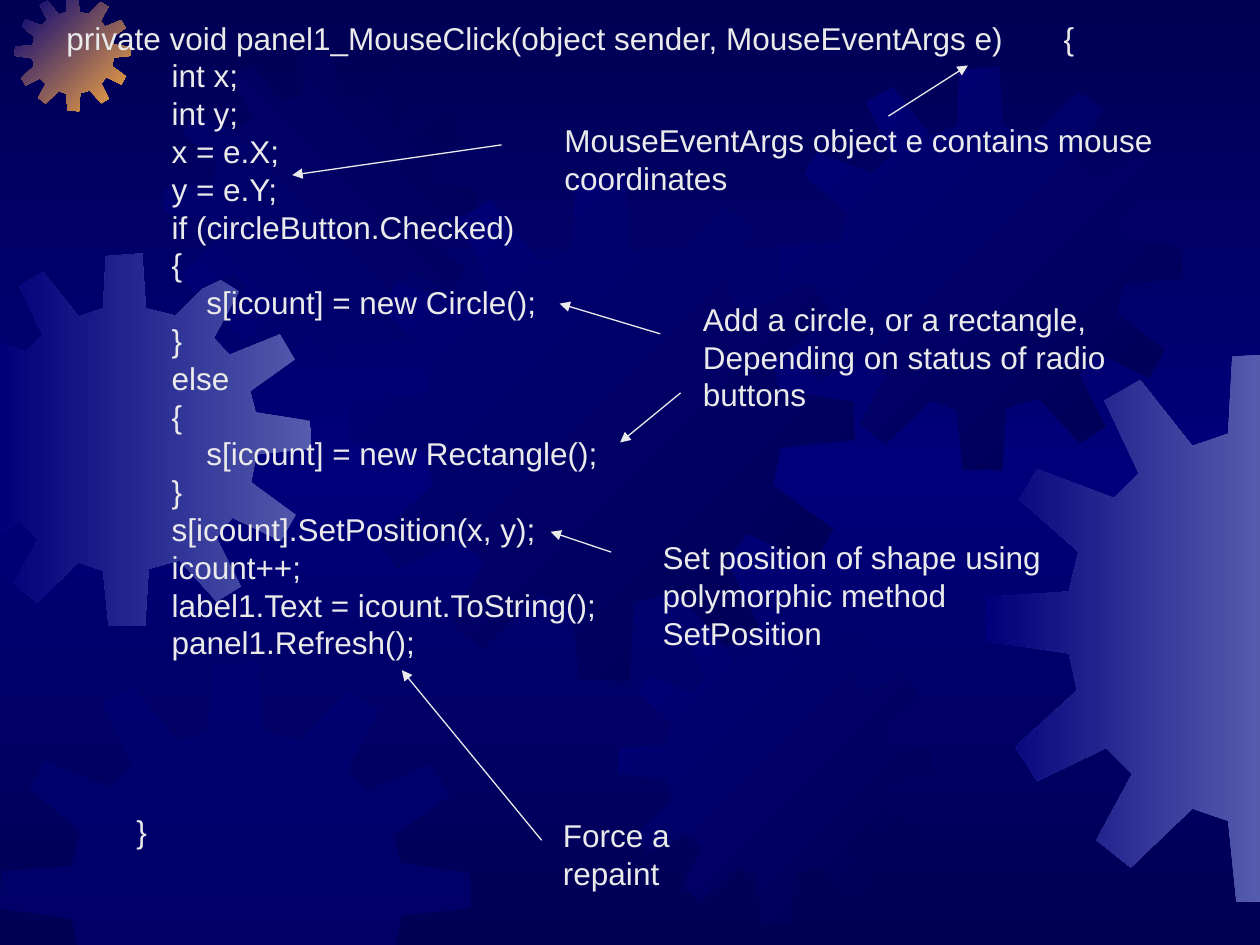
import copy

import pptx
import pptx.dml.color
import pptx.enum.shapes
import pptx.enum.text
import pptx.oxml
import pptx.oxml.ns
import pptx.util

Cm = pptx.util.Cm
Pt = pptx.util.Pt
RGBColor = pptx.dml.color.RGBColor
qn = pptx.oxml.ns.qn

TEXT = RGBColor(0xEA, 0xEA, 0xEA)
NAVY = RGBColor(0x00, 0x00, 0x54)
BLUE = RGBColor(0x00, 0x00, 0x7A)
LILAC = RGBColor(0x55, 0x5B, 0xAD)
ORANGE = RGBColor(0xFC, 0xAB, 0x40)

WIDTH, HEIGHT = 25.4, 19.05
LINE_PITCH = 21.6

GEAR_SIZE = 401
GEAR = [
    (255, 67), (223, 59), (219, 0), (180, 3), (177, 59), (151, 68), (113, 20), (87, 35),
    (112, 88), (94, 106), (38, 85), (25, 107), (68, 145), (61, 174), (1, 178), (0, 210),
    (61, 219), (67, 246), (22, 287), (38, 312), (88, 288), (107, 307), (81, 355), (106, 375),
    (151, 332), (177, 341), (183, 400), (222, 401), (226, 339), (259, 330), (299, 374), (325, 358),
    (299, 306), (316, 284), (368, 309), (384, 281), (336, 246), (342, 216), (401, 210), (400, 180),
    (341, 171), (335, 148), (383, 114), (367, 87), (313, 109), (296, 91), (323, 41), (297, 25),
]

GEARS = [
    (-1.24, 5.11, 7.52, LILAC, 180),
    (0.3, -0.1, 2.34, ORANGE, 225),
    (3.3, 0.99, 6.3, NAVY, 135),
    (7.04, 3.53, 10.19, NAVY, 225),
    (0, 13.34, 9.5, BLUE, None),
    (12.47, 12.29, 6.3, NAVY, 225),
    (15.7, 1.35, 8.13, NAVY, 225),
    (19.86, 7.11, 11.1, LILAC, 180),
]

OUTER, BODY, INNER = 1.41, 2.12, 2.82
CODE = [
    (0, "private void panel1_MouseClick(object sender, MouseEventArgs e)\t{"),
    (BODY, "int x;"),
    (BODY, "int y;"),
    (BODY, "x = e.X;"),
    (BODY, "y = e.Y;"),
    (BODY, "if (circleButton.Checked)"),
    (BODY, "{"),
    (INNER, "s[icount] = new Circle();"),
    (BODY, "}"),
    (BODY, "else"),
    (BODY, "{"),
    (INNER, "s[icount] = new Rectangle();"),
    (BODY, "}"),
    (BODY, "s[icount].SetPosition(x, y);"),
    (BODY, "icount++;"),
    (BODY, "label1.Text = icount.ToString();"),
    (BODY, "panel1.Refresh();"),
    (OUTER, "}"),
]

NOTES = [
    (11.13, 2.31, 12.52, 1.78, ["MouseEventArgs object e contains mouse", "coordinates"]),
    (13.92, 5.92, 10.85, 1.78,
     ["Add a circle, or a rectangle,", "Depending on status of radio buttons"]),
    (13.11, 10.72, 8.61, 2.54,
     ["Set position of shape using polymorphic method", "SetPosition"]),
    (11.1, 16.33, 4.39, 1.78, ["Force a repaint"]),
]

ARROWS = [
    (10.11, 2.92, 5.89, 3.53),
    (17.91, 2.34, 19.51, 1.32),
    (13.31, 6.73, 11.28, 6.12),
    (13.72, 7.92, 12.5, 8.92),
    (12.32, 11.13, 11.1, 10.72),
    (10.92, 16.94, 8.1, 13.51),
]


def fill_gradient(fill, element, colors, angle):
    fill.gradient()
    fill.gradient_angle = (360 - angle) % 360
    stop_list = element.find(".//" + qn("a:gsLst"))
    while len(stop_list) < len(colors):
        stop_list.append(copy.deepcopy(stop_list[-1]))
    for i, (stop, color) in enumerate(zip(fill.gradient_stops, colors)):
        stop.position = i / (len(colors) - 1)
        stop.color.rgb = color


def clip(points, axis, limit, sign):
    kept = []
    for a, b in zip(points, points[1:] + points[:1]):
        da, db = sign * (limit - a[axis]), sign * (limit - b[axis])
        if da >= 0:
            kept.append(a)
        if da * db < 0:
            t = da / (da - db)
            kept.append((a[0] + t * (b[0] - a[0]), a[1] + t * (b[1] - a[1])))
    return kept


def add_gear(s, left, top, size, color, angle):
    k = size / GEAR_SIZE
    points = [(left + x * k, top + y * k) for x, y in GEAR]
    for axis, limit, sign in ((0, 0, -1), (0, WIDTH, 1), (1, 0, -1), (1, HEIGHT, 1)):
        points = clip(points, axis, limit, sign)
    points = [(Cm(x), Cm(y)) for x, y in points]
    builder = s.shapes.build_freeform(*points[0])
    builder.add_line_segments(points[1:], close=True)
    sp = builder.convert_to_shape()
    sp.shadow.inherit = False
    sp.line.fill.background()
    if angle is None:
        sp.fill.solid()
        sp.fill.fore_color.rgb = color
        rgb = sp._element.spPr.find(".//" + qn("a:srgbClr"))
        rgb.append(pptx.oxml.parse_xml(
            '<a:alpha %s val="50000"/>' % pptx.oxml.ns.nsdecls("a")))
    else:
        fill_gradient(sp.fill, sp._element.spPr, [color, BLUE], angle)


def add_text(s, left, top, width, height, lines):
    sp = s.shapes.add_textbox(Cm(left), Cm(top), Cm(width), Cm(height))
    tf = sp.text_frame
    tf.word_wrap = True
    tf.vertical_anchor = pptx.enum.text.MSO_ANCHOR.TOP
    for i, (indent, text) in enumerate(lines):
        p = tf.paragraphs[0] if i == 0 else tf.add_paragraph()
        p.line_spacing = Pt(LINE_PITCH)
        if indent:
            p._p.get_or_add_pPr().set("marL", str(Cm(indent)))
        r = p.add_run()
        r.text = text
        r.font.name = "Arial"
        r.font.size = Pt(18)
        r.font.color.rgb = TEXT
    return tf


def add_code(s):
    tf = add_text(s, 1.09, 0.25, 23.39, 17.02, CODE)
    tf.paragraphs[-1].space_before = Pt(4 * LINE_PITCH)
    tf.paragraphs[0]._p.get_or_add_pPr().append(pptx.oxml.parse_xml(
        '<a:tabLst %s><a:tab pos="%d" algn="l"/></a:tabLst>'
        % (pptx.oxml.ns.nsdecls("a"), Cm(20.1))))


def add_arrow(s, x1, y1, x2, y2):
    line = s.shapes.add_connector(
        pptx.enum.shapes.MSO_CONNECTOR.STRAIGHT, Cm(x1), Cm(y1), Cm(x2), Cm(y2))
    line.line.color.rgb = TEXT
    line.line.width = Pt(0.75)
    ns = pptx.oxml.ns.nsdecls("a")
    line.line._get_or_add_ln().append(
        pptx.oxml.parse_xml('<a:tailEnd %s type="triangle"/>' % ns))
    line._element.spPr.append(pptx.oxml.parse_xml("<a:effectLst %s/>" % ns))


def main():
    prs = pptx.Presentation()
    prs.slide_width, prs.slide_height = Cm(WIDTH), Cm(HEIGHT)
    s = prs.slides.add_slide(prs.slide_layouts[6])
    fill_gradient(s.background.fill, s._element, [NAVY, BLUE, NAVY], 90)
    for gear in GEARS:
        add_gear(s, *gear)
    add_code(s)
    for left, top, width, height, lines in NOTES:
        add_text(s, left, top, width, height, [(0, text) for text in lines])
    for arrow in ARROWS:
        add_arrow(s, *arrow)
    prs.save("out.pptx")


main()
